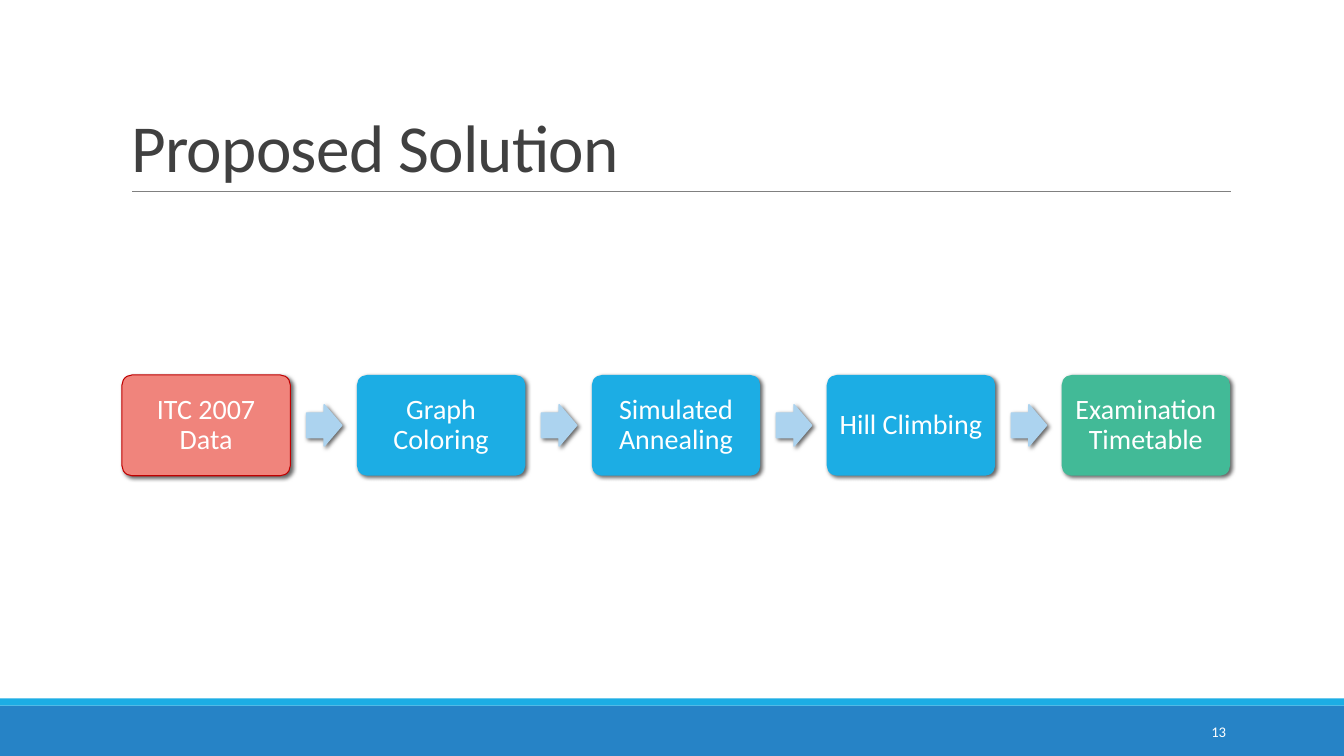
"""Build the Proposed Solution process slide."""
from dataclasses import dataclass

from lxml import etree
from pptx import Presentation
from pptx.dml.color import RGBColor
from pptx.enum.shapes import MSO_CONNECTOR, MSO_SHAPE
from pptx.enum.text import MSO_ANCHOR, MSO_AUTO_SIZE, PP_ALIGN
from pptx.oxml.ns import qn
from pptx.util import Inches, Pt

RECT, ROUNDED, ARROW = MSO_SHAPE.RECTANGLE, MSO_SHAPE.ROUNDED_RECTANGLE, MSO_SHAPE.RIGHT_ARROW
STRAIGHT = MSO_CONNECTOR.STRAIGHT
MIDDLE, BOTTOM = MSO_ANCHOR.MIDDLE, MSO_ANCHOR.BOTTOM
LEFT, CENTER, RIGHT = PP_ALIGN.LEFT, PP_ALIGN.CENTER, PP_ALIGN.RIGHT
NO_FIT = MSO_AUTO_SIZE.NONE


@dataclass(frozen=True)
class Theme:
    font: str = "Calibri"
    title_size: float = 48
    step_size: float = 20
    number_size: float = 10.5
    title: str = "404040"
    white: str = "FFFFFF"
    rule: str = "808080"
    footer: str = "2683C6"
    accent: str = "1CADE4"
    source: str = "F0847C"
    source_edge: str = "C00000"
    result: str = "42BA97"
    arrow: str = "ACD3EF"
    shadow: str = "000000"


THEME = Theme()
TITLE = "Proposed Solution"
PAGE_NUMBER = "13"
STEPS = [
    ("ITC 2007 Data", THEME.source, THEME.source_edge),
    ("Graph Coloring", THEME.accent, None),
    ("Simulated Annealing", THEME.accent, None),
    ("Hill Climbing", THEME.accent, None),
    ("Examination Timetable", THEME.result, None),
]
SLIDE_W, SLIDE_H = 13.33, 7.5
STEP_LEFT, STEP_TOP, STEP_W, STEP_H = 1.21, 3.72, 1.67, 1
STEP_PITCH = 2.33
ARROW_W, ARROW_H, ARROW_GAP = 0.35, 0.41, 0.16


def write(frame, text, *, size, color, align=LEFT, anchor=MIDDLE,
          line_spacing=1.0, tracking=None, inset=None):
    """Fill a text frame with one formatted paragraph."""
    frame.word_wrap = True
    frame.auto_size = NO_FIT
    frame.vertical_anchor = anchor
    if inset is not None:
        frame.margin_left = frame.margin_right = Inches(inset)
        frame.margin_top = frame.margin_bottom = Inches(inset)
    paragraph = frame.paragraphs[0]
    paragraph.alignment = align
    paragraph.line_spacing = line_spacing
    run = paragraph.add_run()
    run.text = text
    run.font.name = THEME.font
    run.font.size = Pt(size)
    run.font.color.rgb = RGBColor.from_string(color)
    if tracking is not None:
        run.font._element.set("spc", str(round(tracking * 100)))


def add_block(slide, preset, box, fill, *, edge=None, edge_width=0.75,
              adjustments=(), shadow=False):
    """Draw a filled preset shape, optionally outlined and shadowed."""
    block = slide.shapes.add_shape(preset, *map(Inches, box))
    for index, value in enumerate(adjustments):
        block.adjustments[index] = value
    block.fill.solid()
    block.fill.fore_color.rgb = RGBColor.from_string(fill)
    if edge:
        block.line.color.rgb = RGBColor.from_string(edge)
        block.line.width = Pt(edge_width)
    else:
        block.line.fill.background()
    block.shadow.inherit = False
    if shadow:
        effects = block._element.spPr.find(qn("a:effectLst"))
        outer = etree.SubElement(effects, qn("a:outerShdw"), blurRad=str(Pt(3)),
                                 dist=str(Pt(2)), dir="2700000", rotWithShape="0")
        tint = etree.SubElement(outer, qn("a:srgbClr"), val=THEME.shadow)
        etree.SubElement(tint, qn("a:alpha"), val="60000")
    return block


def add_frame(slide):
    """Add the footer bands, title, rule and page number."""
    add_block(slide, RECT, (0, 7, SLIDE_W, 0.5), THEME.footer)
    add_block(slide, RECT, (0, 6.93, SLIDE_W, 0.07), THEME.accent)

    rule = slide.shapes.add_connector(STRAIGHT, *map(Inches, (1.31, 1.9, 12.21, 1.9)))
    rule.line.color.rgb = RGBColor.from_string(THEME.rule)
    rule.line.width = Pt(0.5)
    etree.SubElement(rule._element.spPr, qn("a:effectLst"))

    title = slide.shapes.title
    title.left, title.top, title.width, title.height = map(Inches, (1.2, 0.31, 11, 1.59))
    write(title.text_frame, TITLE, size=THEME.title_size, color=THEME.title,
          anchor=BOTTOM, line_spacing=0.85, tracking=-0.5)

    number = slide.shapes.add_textbox(*map(Inches, (10.83, 7.06, 1.43, 0.4)))
    write(number.text_frame, PAGE_NUMBER, size=THEME.number_size,
          color=THEME.white, align=RIGHT)


def add_process(slide):
    """Lay out the steps at an equal pitch with an arrow in every gap."""
    arrow_top = STEP_TOP + (STEP_H - ARROW_H) / 2
    for index, (label, fill, edge) in enumerate(STEPS):
        left = STEP_LEFT + index * STEP_PITCH
        if index:
            arrow_left = left - STEP_PITCH + STEP_W + ARROW_GAP
            add_block(slide, ARROW, (arrow_left, arrow_top, ARROW_W, ARROW_H),
                      THEME.arrow, edge=THEME.arrow, edge_width=1,
                      adjustments=(0.6, 0.5), shadow=True)
        step = add_block(slide, ROUNDED, (left, STEP_TOP, STEP_W, STEP_H), fill,
                         edge=edge, adjustments=(0.1,), shadow=True)
        write(step.text_frame, label, size=THEME.step_size, color=THEME.white,
              align=CENTER, line_spacing=0.9, inset=0.08)


def main():
    """Create and save the presentation."""
    deck = Presentation()
    deck.slide_width, deck.slide_height = Inches(SLIDE_W), Inches(SLIDE_H)
    slide = deck.slides.add_slide(deck.slide_layouts[5])
    add_frame(slide)
    add_process(slide)
    deck.save("out.pptx")


if __name__ == "__main__":
    main()
